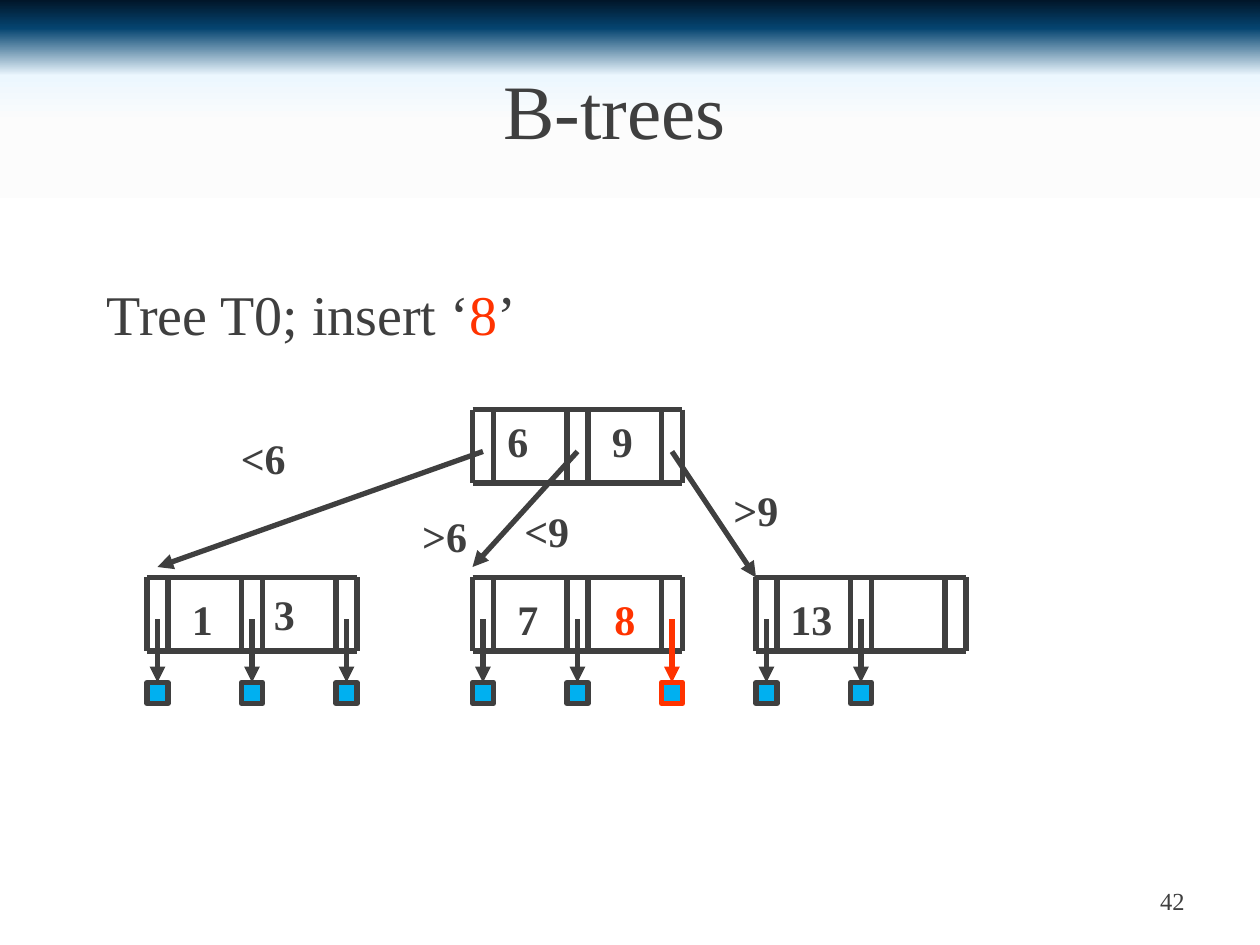
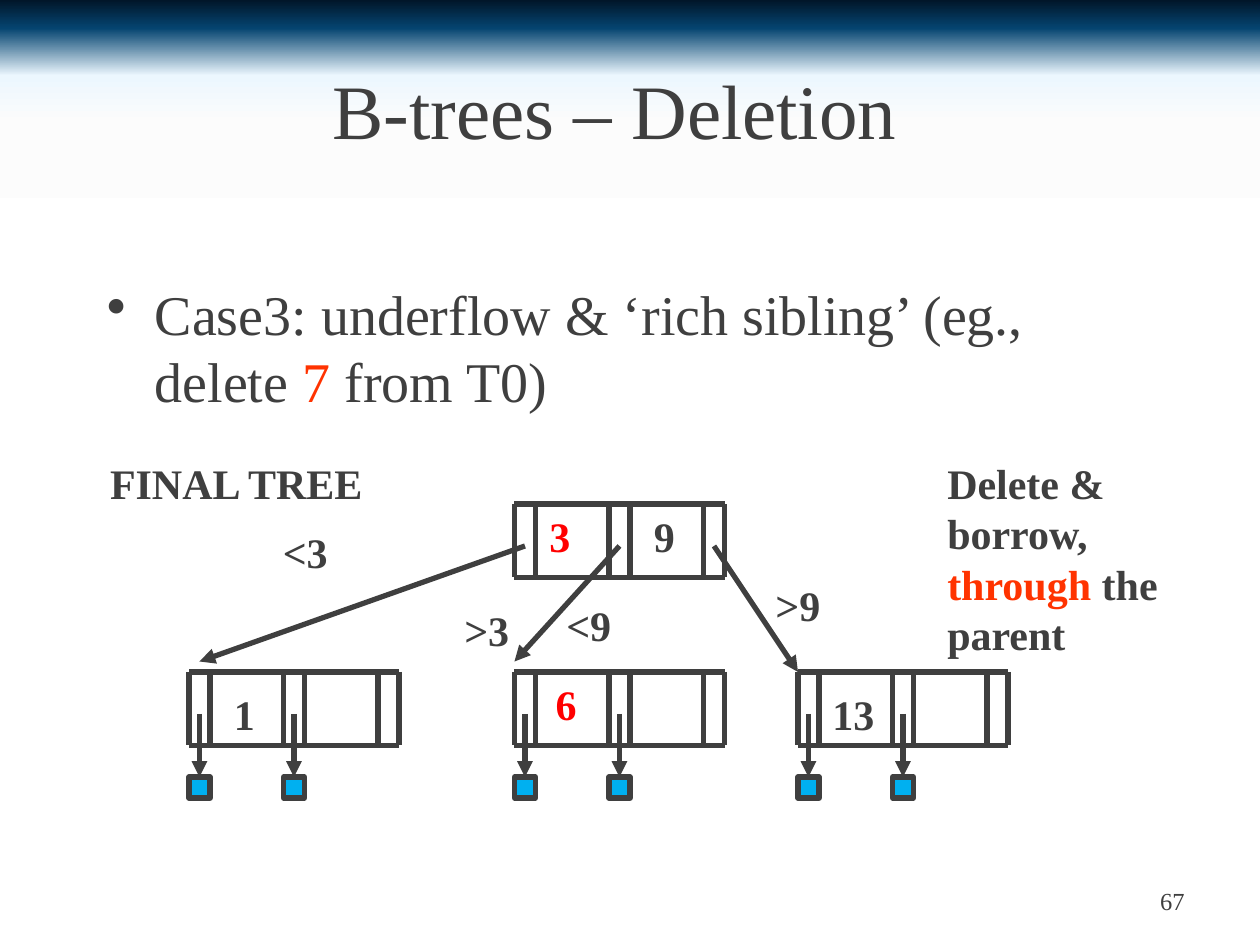
from dataclasses import dataclass

from lxml import etree
from pptx import Presentation
from pptx.dml.color import RGBColor
from pptx.enum.shapes import MSO_CONNECTOR, MSO_SHAPE
from pptx.enum.text import MSO_ANCHOR, PP_ALIGN
from pptx.oxml.ns import qn
from pptx.util import Inches, Pt

STRAIGHT = MSO_CONNECTOR.STRAIGHT
RECTANGLE = MSO_SHAPE.RECTANGLE
TOP, MIDDLE = MSO_ANCHOR.TOP, MSO_ANCHOR.MIDDLE
LEFT, CENTER, RIGHT = PP_ALIGN.LEFT, PP_ALIGN.CENTER, PP_ALIGN.RIGHT


@dataclass(frozen=True)
class Theme:
    font: str = "Times New Roman"
    ink: str = "3F3F3F"
    accent: str = "FF3300"
    moved: str = "FF0000"
    record: str = "00B0F0"
    title_size: int = 44
    body_size: int = 32
    label_size: int = 24
    number_size: int = 14
    line_width: int = 3
    # Background stops: percent from the top, colour
    background: tuple = ((0, "011629"), (3, "054470"), (8, "ECF7FE"),
                         (13, "FCFCFC"), (21, "FFFFFF"), (98, "FFFFFF"))


THEME = Theme()

# Tree geometry, in twelfths of an inch
UNIT = 1 / 12
NODE_WIDTH, NODE_HEIGHT = 20, 7
POCKET, PITCH = 2, 9
POINTER_TOP, RECORD_TOP = 4, 10
LEAF_DROP = 16
LEAF_SHIFTS = (-31, 0, 27)
# Arrow tips relative to each leaf's top left corner
BRANCH_TIPS = ((1, -1), (0, -1), (0, 0))

# Label centres and tops, in inches
ROOT_KEYS = ((0.36, 0), (1.19, 0))
BRANCH_LABELS = ((-1.66, 0.13), (-0.22, 0.75), (0.59, 0.71), (2.25, 0.55))
KEY_X, SECOND_KEY_X, KEY_Y = 0.44, 1.21, 0.08


def write(shape, text, *, size, color=THEME.ink, bold=False, align=LEFT,
          anchor=TOP, wrap=True, bullet=False):
    """Write one paragraph; text is a string or a list of (text, colour)."""
    frame = shape.text_frame
    frame.word_wrap = wrap
    frame.vertical_anchor = anchor
    para = frame.paragraphs[0]
    para.alignment = align
    if bullet:
        properties = para._p.get_or_add_pPr()
        properties.set("marL", str(Inches(0.38)))
        properties.set("indent", str(-Inches(0.38)))
        etree.SubElement(properties, qn("a:buChar")).set("char", "•")
    pieces = [(text, color)] if isinstance(text, str) else text
    for piece, piece_color in pieces:
        span = para.add_run()
        span.text = piece
        span.font.name = THEME.font
        span.font.size = Pt(size)
        span.font.bold = bold
        span.font.color.rgb = RGBColor.from_string(piece_color)


class TreeDeck:
    def __init__(self, theme):
        self.theme = theme
        self.deck = Presentation()
        self.deck.slide_width = Inches(10)
        self.deck.slide_height = Inches(7.5)
        self.page = None
        self.paint_background()

    def paint_background(self):
        master = self.deck.slide_master
        fill = master.background.fill
        fill.gradient()
        fill.gradient_angle = 270
        stops = next(master.element.iter(qn("a:gsLst")))
        for stop in list(stops):
            stops.remove(stop)
        for percent, color in self.theme.background:
            stop = etree.SubElement(stops, qn("a:gs"), pos=str(percent * 1000))
            etree.SubElement(stop, qn("a:srgbClr"), val=color)

    def start_page(self, title, number):
        self.page = self.deck.slides.add_slide(self.deck.slide_layouts[5])
        box = self.page.shapes.title
        box.left, box.top = Inches(0.17), Inches(0.3)
        box.width, box.height = Inches(9.42), Inches(1.12)
        write(box, title, size=self.theme.title_size, align=CENTER, anchor=MIDDLE)
        self.text(7.17, 6.95, 2.33, 0.4, str(number),
                  size=self.theme.number_size, align=RIGHT, anchor=MIDDLE)

    def text(self, left, top, width, height, text, **style):
        box = self.page.shapes.add_textbox(
            Inches(left), Inches(top), Inches(width), Inches(height))
        write(box, text, **style)

    def label(self, center, top, text, color=THEME.ink):
        self.text(center - 0.3, top, 0.6, 0.5, text, color=color, bold=True,
                  size=self.theme.label_size, align=CENTER, wrap=False)

    def style_line(self, line, color):
        line.color.rgb = RGBColor.from_string(color)
        line.width = Pt(self.theme.line_width)

    def line(self, start, end, color=THEME.ink, arrow=False):
        """Join two points given in grid units."""
        ends = [Inches(value * UNIT) for value in (*start, *end)]
        connector = self.page.shapes.add_connector(STRAIGHT, *ends)
        self.style_line(connector.line, color)
        properties = connector.element.spPr
        if arrow:
            outline = properties.find(qn("a:ln"))
            etree.SubElement(outline, qn("a:tailEnd"), type="triangle")
        etree.SubElement(properties, qn("a:effectLst"))

    def node(self, x, y):
        for pocket in range(3):
            for side in (0, POCKET):
                wall = x + pocket * PITCH + side
                self.line((wall, y), (wall, y + NODE_HEIGHT))
        for edge in (y, y + NODE_HEIGHT):
            self.line((x, edge), (x + NODE_WIDTH, edge))

    def record(self, x, y, color):
        """Draw a pointer from a leaf pocket down to its data record."""
        middle = x + POCKET / 2
        self.line((middle, y + POINTER_TOP), (middle, y + RECORD_TOP), color, True)
        square = self.page.shapes.add_shape(
            RECTANGLE, Inches(x * UNIT), Inches((y + RECORD_TOP) * UNIT),
            Inches(POCKET * UNIT), Inches(POCKET * UNIT))
        square.shadow.inherit = False
        square.fill.solid()
        square.fill.fore_color.rgb = RGBColor.from_string(self.theme.record)
        self.style_line(square.line, color)

    def tree(self, x, y, root_keys, leaves):
        """Draw a root and its leaves; a leaf is (keys, record colours)."""
        self.node(x, y)
        leaf_y = y + LEAF_DROP
        for index, (keys, records) in enumerate(leaves):
            leaf_x = x + LEAF_SHIFTS[index]
            self.node(leaf_x, leaf_y)
            for pocket, color in enumerate(records):
                self.record(leaf_x + pocket * PITCH, leaf_y, color)
            tip_x, tip_y = BRANCH_TIPS[index]
            self.line((x + index * PITCH + POCKET / 2, y + POINTER_TOP),
                      (leaf_x + tip_x, leaf_y + tip_y), arrow=True)
            for key, key_x, key_y, color in keys:
                self.label(leaf_x * UNIT + key_x, leaf_y * UNIT + key_y, key, color)

        # Root keys and the ranges they give to the branches
        (low, low_color), (high, high_color) = root_keys
        ranges = (f"<{low}", f">{low}", f"<{high}", f">{high}")
        names = [(low, low_color), (high, high_color)]
        names += [(name, self.theme.ink) for name in ranges]
        for (dx, dy), (name, color) in zip(ROOT_KEYS + BRANCH_LABELS, names):
            self.label(x * UNIT + dx, y * UNIT + dy, name, color)


def main():
    ink, accent, moved = THEME.ink, THEME.accent, THEME.moved
    show = TreeDeck(THEME)
    pair = [ink, ink]
    last_leaf = ([("13", KEY_X, KEY_Y, ink)], pair)

    # Insertion
    show.start_page("B-trees", 42)
    show.text(0.75, 2.17, 8.5, 0.67,
              [("Tree T0; insert ‘", ink), ("8", accent), ("’", ink)],
              size=THEME.body_size)
    show.tree(45, 39, [("6", ink), ("9", ink)], [
        ([("1", KEY_X, KEY_Y, ink), ("3", 1.09, 0.04, ink)], [ink] * 3),
        ([("7", KEY_X, KEY_Y, ink), ("8", SECOND_KEY_X, KEY_Y, accent)],
         [ink, ink, accent]),
        last_leaf,
    ])

    # Deletion
    show.start_page("B-trees – Deletion", 67)
    show.text(0.75, 2.17, 8.58, 1.17,
              [("Case3: underflow & ‘rich sibling’ (eg., delete ", ink),
               ("7", accent), (" from T0)", ink)],
              size=THEME.body_size, bullet=True)
    show.tree(49, 48, [("3", moved), ("9", ink)], [
        ([("1", KEY_X, KEY_Y, ink)], pair),
        ([("6", 0.41, 0, moved)], pair),
        last_leaf,
    ])
    show.text(7.42, 3.58, 2.33, 1.7,
              [("Delete & borrow, ", ink), ("through", accent), (" the parent", ink)],
              size=THEME.label_size, bold=True)
    show.text(0.5, 3.58, 2.75, 0.5, "FINAL TREE",
              size=THEME.label_size, bold=True, align=CENTER)

    show.deck.save("out.pptx")


if __name__ == "__main__":
    main()
